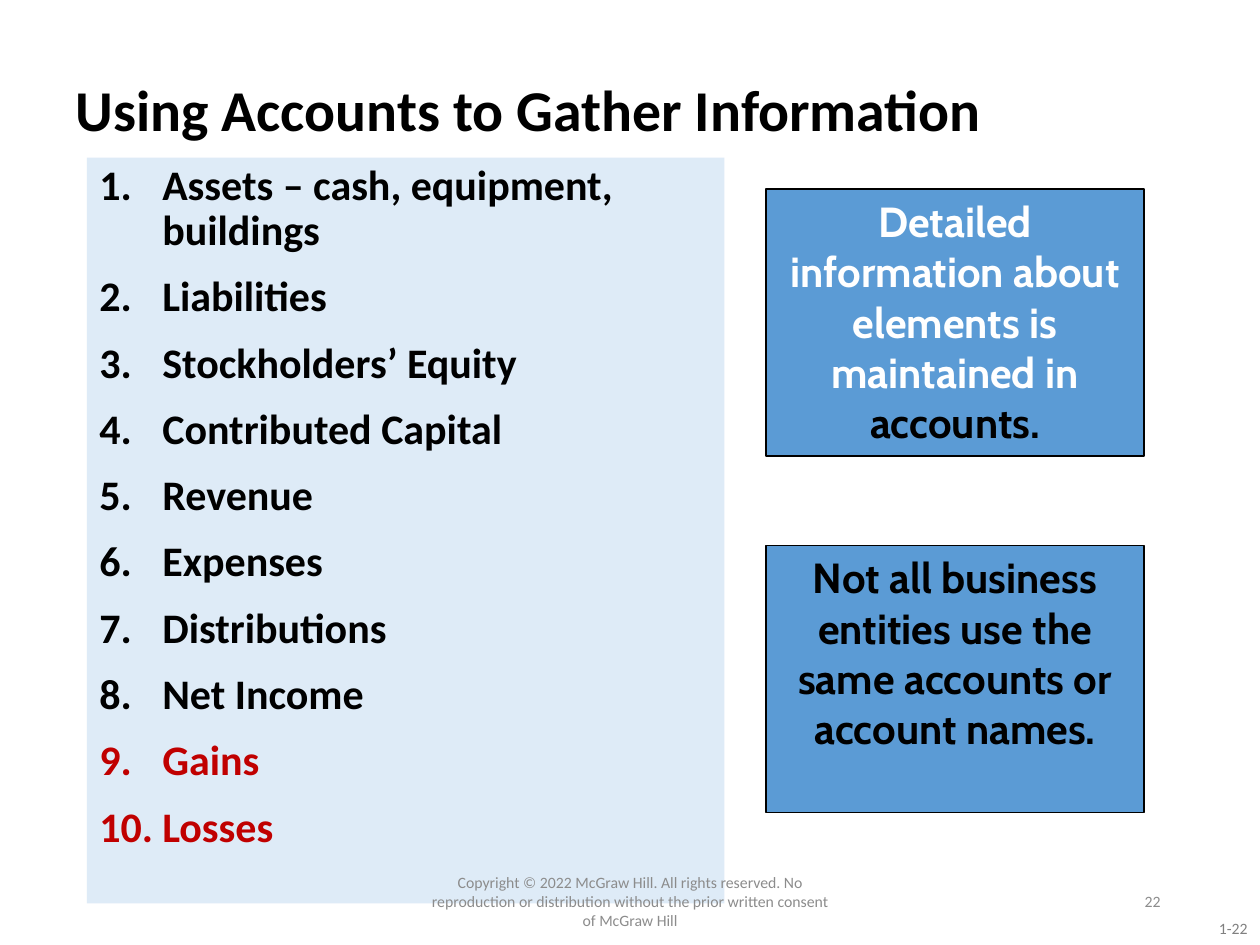
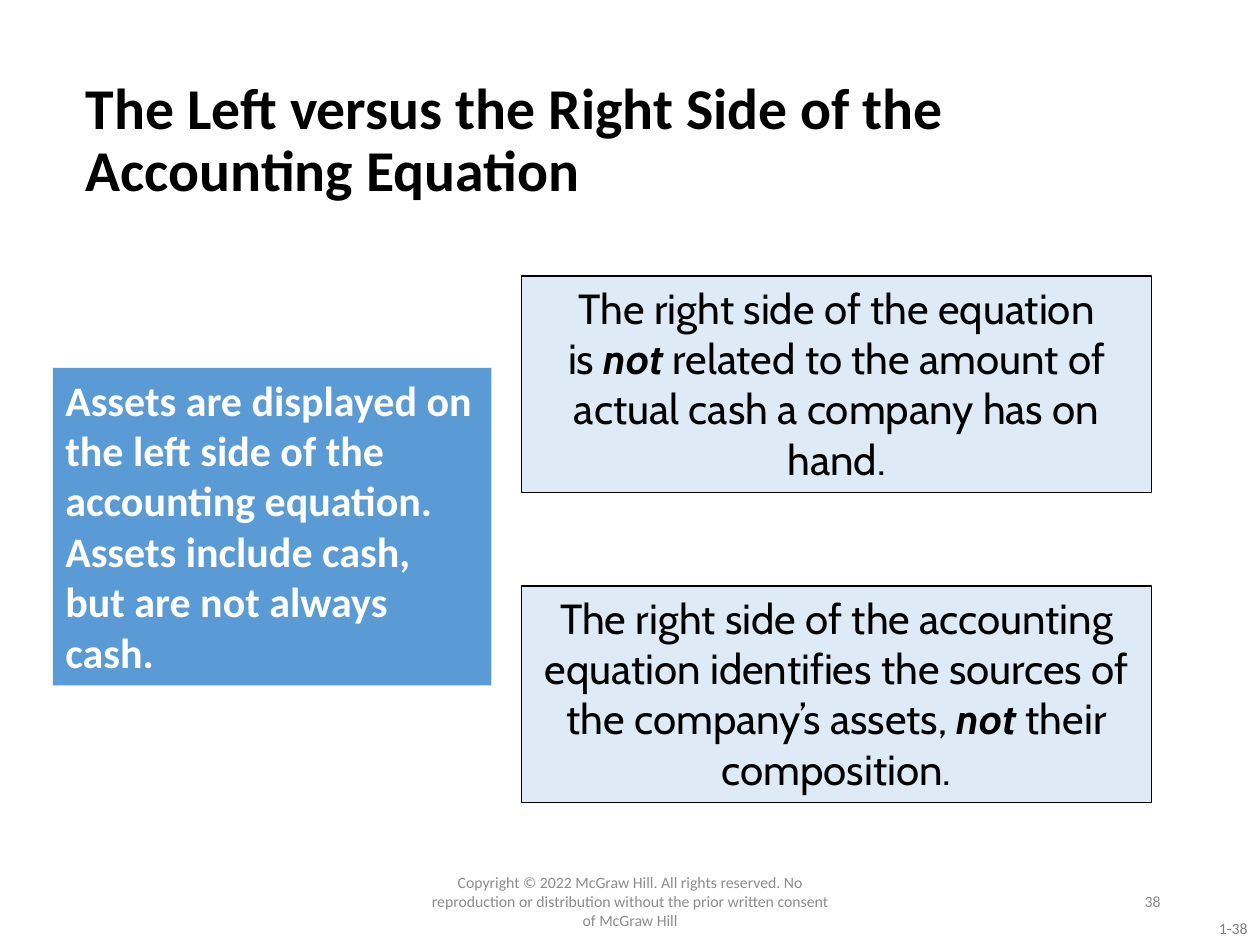
"""Build two accounting slides: account elements, and the sides of the equation."""
import pptx
import pptx.dml.color
import pptx.enum.shapes
import pptx.enum.text
import pptx.oxml.ns
import pptx.util
from lxml import etree

Inches = pptx.util.Inches
Pt = pptx.util.Pt
RGBColor = pptx.dml.color.RGBColor
ALIGN = pptx.enum.text.PP_ALIGN
ANCHOR = pptx.enum.text.MSO_ANCHOR

BLACK = RGBColor(0x00, 0x00, 0x00)
WHITE = RGBColor(0xFF, 0xFF, 0xFF)
BLUE = RGBColor(0x5B, 0x9B, 0xD5)
PALE_BLUE = RGBColor(0xDE, 0xEB, 0xF7)
RED = RGBColor(0xC0, 0x00, 0x00)
FOOTER_GREY = RGBColor(0x8C, 0x8C, 0x8C)
CORNER_GREY = RGBColor(0x80, 0x80, 0x80)

TITLE = {"name": "Calibri", "size": Pt(33), "bold": True, "color": BLACK}
STRONG = {"name": "Calibri", "size": Pt(24), "bold": True, "color": BLACK}
CALLOUT = {"name": "Cabin", "size": Pt(24), "bold": False, "color": BLACK}
SMALL = {"name": "Calibri", "size": Pt(9), "color": FOOTER_GREY}

BOLD = {"bold": True}
BOLD_WHITE = {"bold": True, "color": WHITE}
EMPHASIS = {"bold": True, "italic": True}

COPYRIGHT = (
    "Copyright © 2022 McGraw Hill. All rights reserved. No reproduction or "
    "distribution without the prior written consent of McGraw Hill"
)
CHAPTER = 1

ACCOUNTS = [
    "Assets – cash, equipment, buildings", "Liabilities", "Stockholders’ Equity",
    "Contributed Capital", "Revenue", "Expenses", "Distributions", "Net Income",
]
NEW_ACCOUNTS = ["Gains", "Losses"]

SLIDES = [
    {
        "number": 22,
        "title": "Using Accounts to Gather Information",
        "title_box": (0.5, 0.17, 8.81, 1.45),
        "panel": {
            "box": (0.69, 1.25, 5.06, 5.92),
            "fill": PALE_BLUE,
            "numbered": True,
            "paragraphs": [[(name, {})] for name in ACCOUNTS]
            + [[(name, {"color": RED})] for name in NEW_ACCOUNTS],
        },
        "callouts": {
            "first_box": (6.08, 1.5, 3, 2.12),
            "pitch": 2.83,
            "fill": BLUE,
            "texts": [
                [[("Detailed information about elements is maintained in", BOLD_WHITE),
                  (" accounts.", BOLD)]],
                [[("Not all business entities use the same accounts or account names.", BOLD)]],
            ],
        },
    },
    {
        "number": 38,
        "title": "The Left versus the Right Side of the Accounting Equation",
        "title_box": (0.58, 0.4, 8.73, 1.45),
        "panel": {
            "box": (0.42, 2.92, 3.48, 2.52),
            "fill": BLUE,
            "numbered": False,
            "paragraphs": [[(
                "Assets are displayed on the left side of the accounting equation. "
                "Assets include cash, but are not always cash.", {"color": WHITE})]],
        },
        "callouts": {
            "first_box": (4.14, 2.19, 5, 1.72),
            "pitch": 2.46,
            "fill": PALE_BLUE,
            "texts": [
                [[("The right side of the equation", {})],
                 [("is ", {}), ("not", EMPHASIS),
                  (" related to the amount of actual cash a company has on hand.", {})]],
                [[("The right side of the accounting equation identifies the sources "
                   "of the company’s assets, ", {}),
                  ("not ", EMPHASIS), ("their composition.", {})]],
            ],
        },
    },
]


def set_values(target, values):
    for name, value in values.items():
        setattr(target, name, value)


def place(shape, box):
    set_values(shape, dict(zip(("left", "top", "width", "height"), map(Inches, box))))


def write(shape, paragraphs, font, layout, anchor=ANCHOR.TOP):
    frame = shape.text_frame
    set_values(frame, {"word_wrap": True, "vertical_anchor": anchor})
    for index, runs in enumerate(paragraphs):
        paragraph = frame.paragraphs[0] if index == 0 else frame.add_paragraph()
        set_values(paragraph, layout)
        for text, changes in runs:
            run = paragraph.add_run()
            run.text = text
            values = {**font, **changes}
            run.font.color.rgb = values.pop("color")
            set_values(run.font, values)


def number_paragraphs(shape):
    for index, paragraph in enumerate(shape.text_frame.paragraphs):
        if index:
            paragraph.space_before = Pt(12)
        properties = paragraph._p.get_or_add_pPr()
        properties.set("marL", str(Inches(0.5)))
        properties.set("indent", str(Inches(-0.5)))
        etree.SubElement(properties, pptx.oxml.ns.qn("a:buAutoNum"), type="arabicPeriod")


def add_text(slide, box, text, font, alignment, anchor=ANCHOR.TOP):
    shape = slide.shapes.add_textbox(*map(Inches, box))
    write(shape, [[(text, {})]], font, {"alignment": alignment}, anchor)


def add_box(slide, box, fill, outlined=False):
    shape = slide.shapes.add_shape(
        pptx.enum.shapes.MSO_SHAPE.RECTANGLE, *map(Inches, box))
    shape.shadow.inherit = False
    shape.fill.solid()
    shape.fill.fore_color.rgb = fill
    if outlined:
        shape.line.color.rgb = BLACK
        shape.line.width = Pt(0.75)
    else:
        shape.line.fill.background()
    return shape


def add_panel(slide, panel):
    shape = add_box(slide, panel["box"], panel["fill"])
    layout = {"alignment": ALIGN.LEFT}
    if panel["numbered"]:
        layout["line_spacing"] = 0.9
    write(shape, panel["paragraphs"], STRONG, layout)
    if panel["numbered"]:
        number_paragraphs(shape)


def add_callouts(slide, callouts):
    left, top, width, height = callouts["first_box"]
    for index, paragraphs in enumerate(callouts["texts"]):
        box = (left, top + index * callouts["pitch"], width, height)
        shape = add_box(slide, box, callouts["fill"], outlined=True)
        write(shape, paragraphs, CALLOUT, {"alignment": ALIGN.CENTER})


def add_footers(slide, number):
    add_text(slide, (3.31, 6.95, 3.38, 0.4), COPYRIGHT, SMALL, ALIGN.CENTER, ANCHOR.MIDDLE)
    add_text(slide, (7.06, 6.95, 2.25, 0.4), str(number), SMALL, ALIGN.RIGHT, ANCHOR.MIDDLE)
    add_text(slide, (8.79, 7.24, 1.21, 0.25), f"{CHAPTER}-{number}",
             {**SMALL, "color": CORNER_GREY}, ALIGN.RIGHT)


def add_slide(presentation, content):
    slide = presentation.slides.add_slide(presentation.slide_layouts[5])
    title = slide.shapes.title
    place(title, content["title_box"])
    write(title, [[(content["title"], {})]], TITLE,
          {"alignment": ALIGN.LEFT, "line_spacing": 0.9}, ANCHOR.MIDDLE)
    add_panel(slide, content["panel"])
    add_callouts(slide, content["callouts"])
    add_footers(slide, content["number"])


def main():
    presentation = pptx.Presentation()
    set_values(presentation, {"slide_width": Inches(10), "slide_height": Inches(7.5)})
    for content in SLIDES:
        add_slide(presentation, content)
    presentation.save("out.pptx")


if __name__ == "__main__":
    main()
